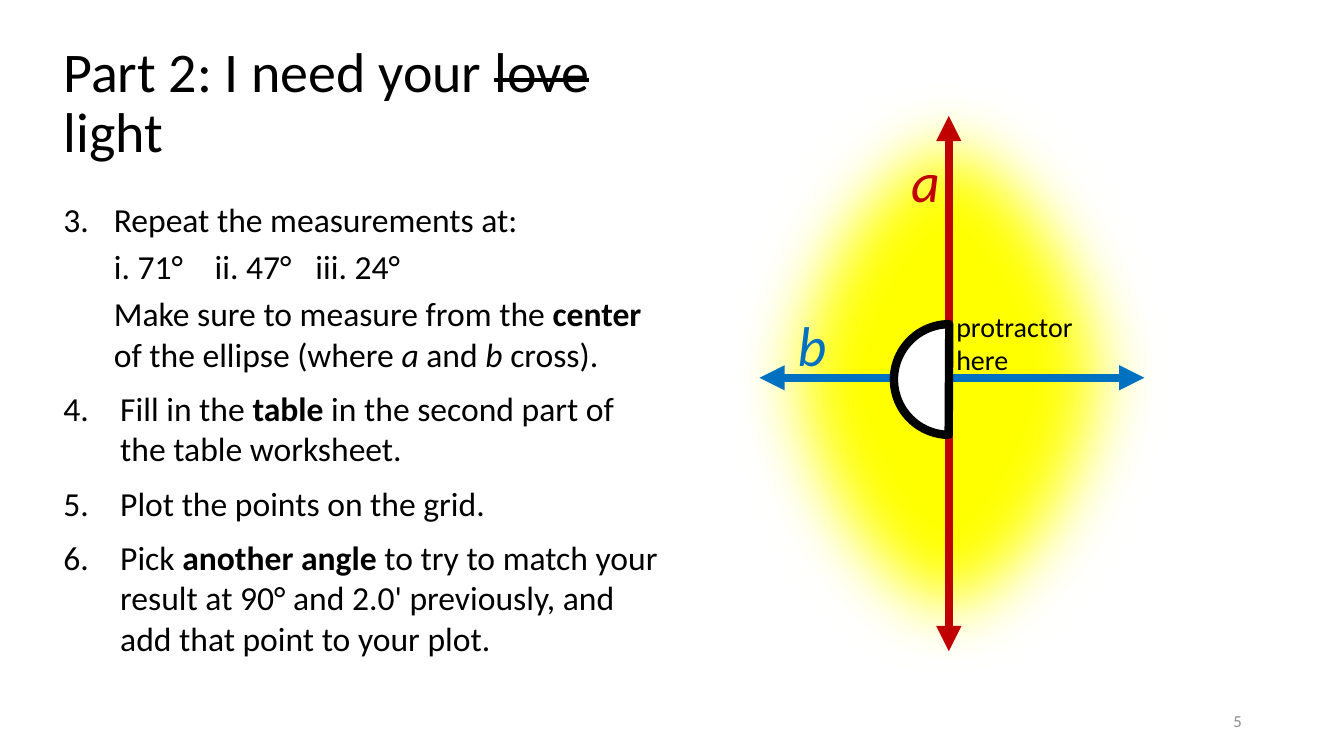
import pptx
import pptx.util
import pptx.dml.color
import pptx.enum.shapes
import pptx.enum.text
import pptx.oxml.ns
import lxml.etree

Cm, Pt = pptx.util.Cm, pptx.util.Pt
ALIGN = pptx.enum.text.PP_ALIGN
ANCHOR = pptx.enum.text.MSO_ANCHOR
SHAPE = pptx.enum.shapes.MSO_SHAPE
BLACK, WHITE, GREY = "000000", "FFFFFF", "8C8C8C"
RED, BLUE, YELLOW = "C00000", "0070C0", "FFFF00"
NUMBERED, INDENTED, TABBED = "numbered", "indented", "tabbed"


def rgb(value):
    return pptx.dml.color.RGBColor.from_string(value)


def add_xml(parent, tag, **attrs):
    names = {name: str(value) for name, value in attrs.items()}
    return lxml.etree.SubElement(parent, pptx.oxml.ns.qn(tag), names)


def add_textbox(s, x, y, w, h, anchor=ANCHOR.TOP):
    tf = s.shapes.add_textbox(Cm(x), Cm(y), Cm(w), Cm(h)).text_frame
    tf.word_wrap = True
    tf.vertical_anchor = anchor
    return tf


def style(p, size, color=BLACK, align=ALIGN.LEFT, italic=None):
    p.alignment = align
    p.font.name = "Calibri"
    p.font.size = Pt(size)
    p.font.color.rgb = rgb(color)
    p.font.italic = italic


def add_runs(p, runs):
    """Add (text, mark) pairs; the mark is "b", "i", "strike" or empty."""
    for text, mark in runs:
        r = p.add_run()
        r.text = text
        if mark == "strike":
            r._r.get_or_add_rPr().set("strike", "sngStrike")
        elif mark:
            r._r.get_or_add_rPr().set(mark, "1")


def add_label(s, text, x, y, w, h, size, **options):
    tf = add_textbox(s, x, y, w, h, options.pop("anchor", ANCHOR.TOP))
    p = tf.paragraphs[0]
    add_runs(p, [(text, "")])
    style(p, size, **options)


def add_title(s, x, y, w, h):
    p = add_textbox(s, x, y, w, h, ANCHOR.MIDDLE).paragraphs[0]
    add_runs(p, [("Part 2: I need your ", ""), ("love", "strike"), (" light", "")])
    p.line_spacing = 0.9
    style(p, 40)


def add_steps(s, x, y, w, h):
    # kind, indent in cm, first number of the list, space before in points, runs
    steps = [
        (NUMBERED, 1.27, 3, 0, [("Repeat the measurements at:", "")]),
        (TABBED, 1.27, None, 5, [("i. 71°\tii. 47°\tiii. 24°", "")]),
        (INDENTED, 1.27, None, 5, [
            ("Make sure to measure from the ", ""), ("center", "b"),
            (" of the ellipse (where ", ""), ("a", "i"), (" and ", ""),
            ("b", "i"), (" cross).", "")]),
        (NUMBERED, 1.43, 4, 10, [
            ("Fill in the ", ""), ("table", "b"),
            (" in the second part of the table worksheet.", "")]),
        (NUMBERED, 1.43, 4, 10, [("Plot the points on the grid.", "")]),
        (NUMBERED, 1.43, 4, 10, [
            ("Pick ", ""), ("another angle", "b"),
            (" to try to match your result at 90° and 2.0'\u00a0previously, "
             "and add that point to your plot.", "")]),
    ]
    tf = add_textbox(s, x, y, w, h)
    for i, (kind, indent, start, before, runs) in enumerate(steps):
        p = tf.add_paragraph() if i else tf.paragraphs[0]
        pPr = p._p.get_or_add_pPr()
        if before:
            p.space_before = Pt(before)
        pPr.set("marL", str(0 if kind == TABBED else Cm(indent)))
        first_line = {NUMBERED: -indent, INDENTED: 0, TABBED: indent}[kind]
        pPr.set("indent", str(Cm(first_line)))
        if kind == NUMBERED:
            add_xml(pPr, "a:buFont", typeface="+mj-lt")
            add_xml(pPr, "a:buAutoNum", type="arabicPeriod", startAt=start)
        if kind == TABBED:
            tabs = add_xml(pPr, "a:tabLst")
            for stop in (3.97, 6.88):
                add_xml(tabs, "a:tab", pos=Cm(stop), algn="l")
        add_runs(p, runs)
        style(p, 24)


def add_shape(s, kind, x, y, w, h, fill):
    sp = s.shapes.add_shape(kind, Cm(x), Cm(y), Cm(w), Cm(h))
    sp.shadow.inherit = False
    sp.fill.solid()
    sp.fill.fore_color.rgb = rgb(fill)
    sp.line.fill.background()
    return sp


def add_axis(s, x1, y1, x2, y2, color):
    """Draw a thick line with an arrowhead at each end."""
    axis = s.shapes.add_connector(
        pptx.enum.shapes.MSO_CONNECTOR.STRAIGHT, Cm(x1), Cm(y1), Cm(x2), Cm(y2))
    axis.line.color.rgb = rgb(color)
    axis.line.width = Pt(6)
    ln = axis.line._get_or_add_ln()
    add_xml(ln, "a:headEnd", type="triangle")
    add_xml(ln, "a:tailEnd", type="triangle")
    add_xml(axis._element.spPr, "a:effectLst")


def add_light_ellipse(s, x, y, w, h):
    cx, cy = x + w / 2, y + h / 2
    glow = add_shape(s, SHAPE.OVAL, x, y, w, h, YELLOW)
    effects = glow._element.spPr.find(pptx.oxml.ns.qn("a:effectLst"))
    add_xml(effects, "a:softEdge", rad=Pt(50))

    add_axis(s, cx, y + 1.35, cx, y + h - 1.06, RED)
    add_label(s, "a", cx - 1.2, y + 2.01, 1.12, 1.96, 40,
              color=RED, align=ALIGN.CENTER, italic=True)
    add_axis(s, x + 0.87, cy, x + w - 0.71, cy, BLUE)
    add_label(s, "b", x + 1.58, cy - 1.83, 1.12, 1.96, 40,
              color=BLUE, align=ALIGN.CENTER, italic=True)

    add_label(s, "protractor here", cx - 0.06, cy - 1.85, 3.63, 1.96, 20)
    protractor = add_shape(s, SHAPE.CHORD, cx - 1.38, cy - 1.35, 2.79, 2.79, WHITE)
    protractor.adjustments[0] = 54.4
    protractor.adjustments[1] = 162
    protractor.line.color.rgb = rgb(BLACK)
    protractor.line.width = Pt(6)


def main():
    prs = pptx.Presentation()
    prs.slide_width, prs.slide_height = Cm(33.87), Cm(19.05)
    s = prs.slides.add_slide(prs.slide_layouts[6])
    add_title(s, 1.35, 0.38, 15.6, 4.5)
    add_steps(s, 1.35, 4.88, 15.6, 13.79)
    add_label(s, "5", 23.93, 17.65, 7.62, 1.02, 12,
              color=GREY, align=ALIGN.RIGHT, anchor=ANCHOR.MIDDLE)
    add_light_ellipse(s, 18.27, 1.57, 11.28, 15.9)
    prs.save("out.pptx")


if __name__ == "__main__":
    main()
